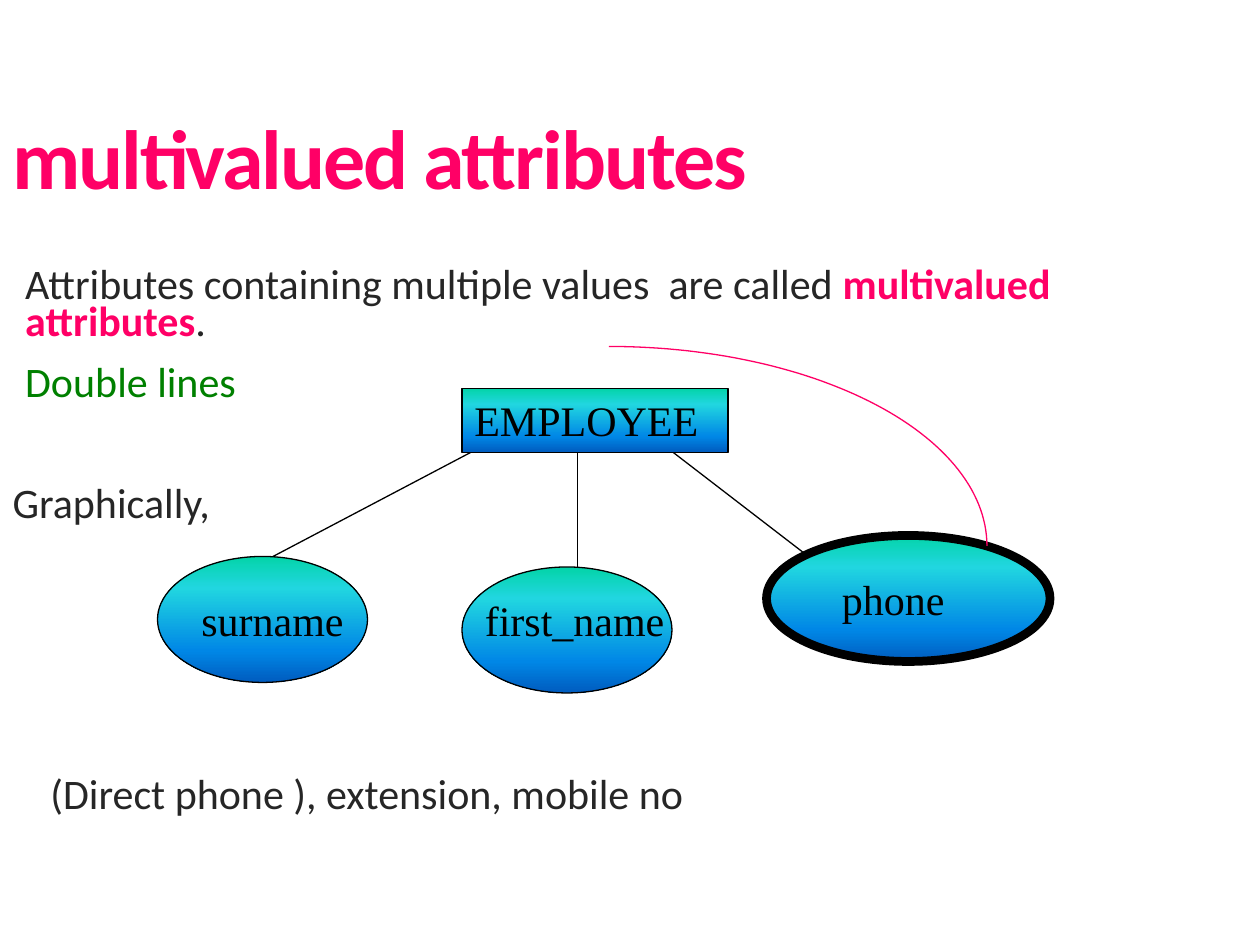
from copy import deepcopy
from dataclasses import dataclass
from math import cos, pi, sin

from lxml.etree import SubElement as Sub
from pptx import Presentation
from pptx.dml.color import RGBColor as Rgb
from pptx.enum.shapes import MSO_CONNECTOR as Conn, MSO_SHAPE as Form
from pptx.enum.text import MSO_ANCHOR as Anchor, MSO_AUTO_SIZE as Fit, PP_ALIGN as Align
from pptx.oxml.ns import qn
from pptx.util import Pt

HUES = {"pink": "FF0066", "dark": "262626", "green": "008000", "black": "000000"}
FADE = {0: "03D4A8", 0.25: "21D6E0", 0.75: "0087E6", 1: "005CBF"}
SANS, SERIF = "Calibri", "Times New Roman"


@dataclass
class Node:
    name: str
    box: tuple
    label: tuple
    edge: tuple
    line: float = 0.75
    wrap: bool = False


@dataclass
class Item:
    runs: list
    left: float
    gap: float
    level: int = 0


NODES = [
    Node("first_name", (264, 324, 120, 72), (270, 336, 117, 36), (330, 324, 330, 258)),
    Node("phone", (438, 306, 162, 72), (474, 324, 91.4, 36), (462, 318, 384, 258), 5, True),
    Node("surname", (90, 318, 120, 72), (108, 336, 95.8, 36), (156, 318, 270, 258)),
]
ITEMS = [
    Item([("Attributes containing multiple values  are called ", "dark", False),
          ("multivalued attributes", "pink", True), (".", "dark", False)], 7.2, 0),
    Item([("Double lines", "green", False)], 7.2, 13),
    Item([("Graphically,", "dark", False)], 0, 47.4),
    Item([("(Direct phone ), extension, mobile no", "dark", False)], 21.6, 144.6, 1),
]


def tint(name: str) -> Rgb:
    return Rgb.from_string(HUES[name])


def apply(obj, form: dict) -> None:
    for key, val in form.items():
        setattr(obj, key, val)


def write(para, text: str, hue: str, **form):
    run = para.add_run()
    run.text = text
    apply(run.font, form)
    run.font.color.rgb = tint(hue)
    return run


def place(shape, box: tuple) -> None:
    apply(shape, dict(zip(("left", "top", "width", "height"), map(Pt, box))))


def stroke(line, hue: str, width: float) -> None:
    line.color.rgb = tint(hue)
    line.width = Pt(width)


def fade(shape) -> None:
    """Fill with the four-stop gradient, running downwards."""
    fill = shape.fill
    fill.gradient()
    fill.gradient_angle = 270
    stops = shape._element.spPr.find(".//" + qn("a:gsLst"))
    while len(stops) < len(FADE):
        stops.append(deepcopy(stops[0]))
    for stop, (pos, hue) in zip(fill.gradient_stops, FADE.items()):
        stop.position = pos
        stop.color.rgb = Rgb.from_string(hue)


def block(slide, form, box: tuple, width: float):
    shape = slide.shapes.add_shape(form, *map(Pt, box))
    shape.shadow.inherit = False
    fade(shape)
    stroke(shape.line, "black", width)
    return shape


def label(shape, text: str, wrap: bool) -> None:
    frame = shape.text_frame
    apply(frame, {"word_wrap": wrap, "auto_size": Fit.SHAPE_TO_FIT_TEXT,
                  "vertical_anchor": Anchor.TOP})
    para = frame.paragraphs[0]
    para.alignment = Align.LEFT
    write(para, text, "black", name=SERIF, size=Pt(24))


def link(slide, edge: tuple) -> None:
    line = slide.shapes.add_connector(Conn.STRAIGHT, *map(Pt, edge))
    stroke(line.line, "black", 0.75)
    Sub(line._element.spPr, qn("a:effectLst"))


def curve(slide, left: float, top: float, wide: float, high: float) -> None:
    """Draw a quarter ellipse from top left to bottom right."""
    steps = 60
    turns = [pi / 2 * i / steps for i in range(steps + 1)]
    dots = [(Pt(left + wide * sin(t)), Pt(top + high * (1 - cos(t)))) for t in turns]
    path = slide.shapes.build_freeform(*dots[0])
    path.add_line_segments(dots[1:], close=False)
    arc = path.convert_to_shape()
    arc.shadow.inherit = False
    arc.fill.background()
    stroke(arc.line, "pink", 0.75)


def head(shape) -> None:
    place(shape, (0, 48, 648, 90))
    frame = shape.text_frame
    apply(frame, {"vertical_anchor": Anchor.MIDDLE, "auto_size": Fit.NONE})
    para = frame.paragraphs[0]
    apply(para, {"alignment": Align.LEFT, "line_spacing": 0.9})
    run = write(para, "multivalued attributes", "pink", name=SANS, size=Pt(48), bold=True)
    run.font._element.set("spc", "-120")


def body(shape) -> None:
    place(shape, (0, 150, 648, 332.6))
    frame = shape.text_frame
    apply(frame, {"vertical_anchor": Anchor.TOP, "auto_size": Fit.NONE})
    for i, item in enumerate(ITEMS):
        para = frame.add_paragraph() if i else frame.paragraphs[0]
        props = para._p.get_or_add_pPr()
        props.set("marL", str(Pt(item.left)))
        props.set("indent", "0")
        Sub(props, qn("a:buNone"))
        apply(para, {"level": item.level, "line_spacing": 0.75, "space_before": Pt(item.gap)})
        for text, hue, bold in item.runs:
            write(para, text, hue, name=SANS, size=Pt(24), bold=bold)


def main() -> None:
    deck = Presentation()
    apply(deck, {"slide_width": Pt(720), "slide_height": Pt(540)})
    slide = deck.slides.add_slide(deck.slide_layouts[1])
    head(slide.shapes.title)
    body(slide.placeholders[1])
    for node in NODES:
        block(slide, Form.OVAL, node.box, node.line)
        label(slide.shapes.add_textbox(*map(Pt, node.label)), node.name, node.wrap)
        link(slide, node.edge)
    label(block(slide, Form.RECTANGLE, (264, 222, 152, 36.5), 0.75), "EMPLOYEE", True)
    curve(slide, 348, 198, 216, 114)
    deck.save("out.pptx")


if __name__ == "__main__":
    main()
